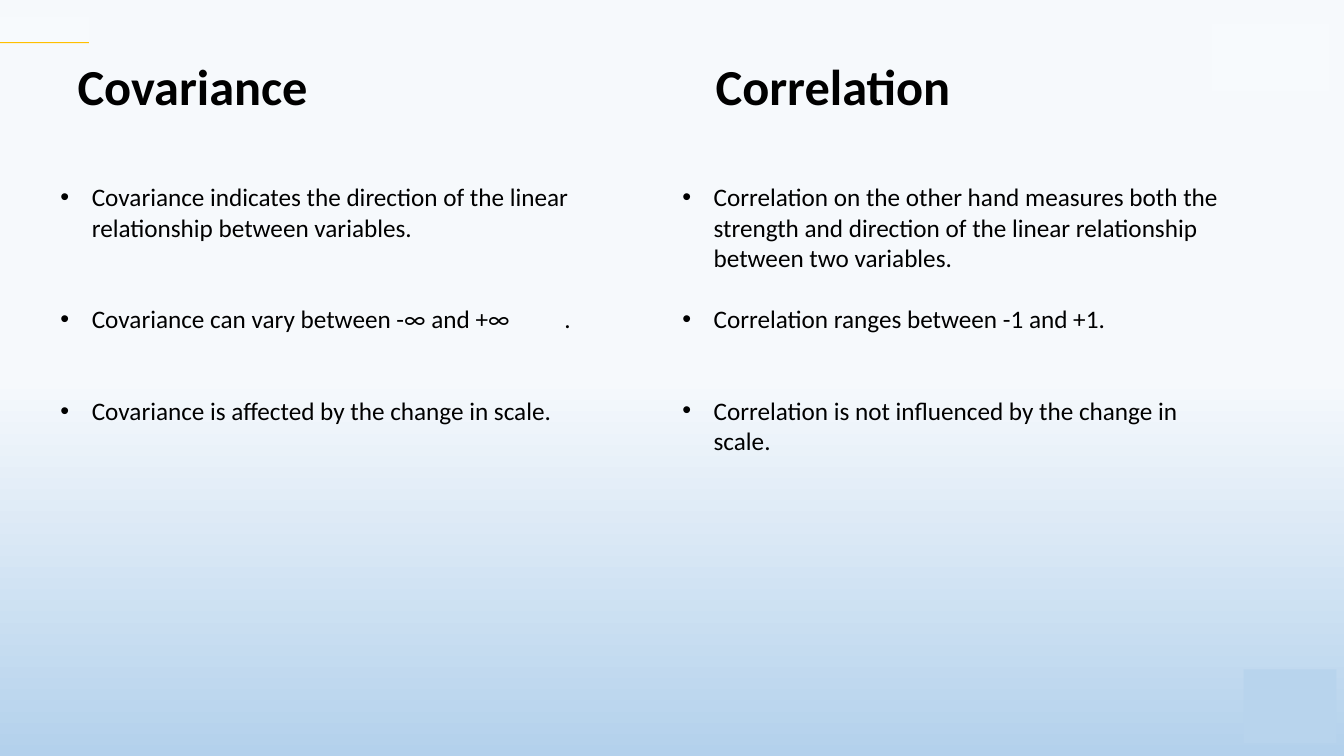
"""Builds a slide that compares covariance with correlation."""
import pptx
import pptx.util
import pptx.dml.color
import pptx.enum.shapes
import pptx.enum.text
import pptx.oxml.ns
import lxml.etree

Cm, Pt = pptx.util.Cm, pptx.util.Pt
RGB = pptx.dml.color.RGBColor.from_string
COLORS = {"text": "000000", "sky": "F6F9FC", "blue": "B3D1EC",
          "gold": "FFC000", "pale": "F7FAFD", "patch": "B8D4ED"}


def frame(holder, box):
    """Places a placeholder and returns its text frame."""
    holder.left, holder.top, holder.width, holder.height = map(Cm, box)
    text = holder.text_frame
    text.word_wrap = True
    text.vertical_anchor = pptx.enum.text.MSO_ANCHOR.TOP
    text.auto_size = pptx.enum.text.MSO_AUTO_SIZE.SHAPE_TO_FIT_TEXT
    return text


def write(para, words, size, bold):
    """Adds one left-aligned run to a paragraph."""
    para.alignment = pptx.enum.text.PP_ALIGN.LEFT
    para.line_spacing = 1.0
    run = para.add_run()
    run.text = words
    run.font.name = "Calibri"
    run.font.size = Pt(size)
    run.font.bold = bold
    run.font.color.rgb = RGB(COLORS["text"])


deck = pptx.Presentation()
deck.slide_width, deck.slide_height = Cm(33.87), Cm(19.05)
slide = deck.slides.add_slide(deck.slide_layouts[4])
holders = {item.placeholder_format.idx: item for item in slide.placeholders}
spare = holders[1].element
spare.getparent().remove(spare)

back = slide.background.fill
back.gradient()
back.gradient_angle = 270
for stop, place, color in zip(back.gradient_stops, (0.5, 1), ("sky", "blue")):
    stop.position = place
    stop.color.rgb = RGB(COLORS[color])

columns = [
    (0, 2, "Covariance", 1.7, 1.27, 6.4, [
        (0, "Covariance indicates the direction of the linear "
            "relationship between variables."),
        (44, "Covariance can vary between -∞ and +∞\t."),
        (44, "Covariance is affected by the change in scale.")]),
    (3, 4, "Correlation", 17.78, 16.94, 8.71, [
        (0, "Correlation on the other hand measures both the strength and "
            "direction of the linear relationship between two variables."),
        (22, "Correlation ranges between -1 and +1."),
        (44, "Correlation is not influenced by the change in scale.")]),
]
for head, body, title, left, edge, height, points in columns:
    para = frame(holders[head], (left, 1.27, 15.42, 1.8)).paragraphs[0]
    para.space_before = Pt(0)
    write(para, title, 36, True)
    text = frame(holders[body], (edge, 4.45, 14.44, height))
    for rank, (gap, words) in enumerate(points):
        para = text.add_paragraph() if rank else text.paragraphs[0]
        para.space_before = Pt(gap)
        write(para, words, 18, False)
        props = para._p.get_or_add_pPr()
        props.set("marL", str(Cm(0.79)))
        props.set("indent", str(Cm(-0.79)))
        props.set("defTabSz", str(Cm(2.54)))
        tint = lxml.etree.SubElement(props, pptx.oxml.ns.qn("a:buClr"))
        lxml.etree.SubElement(tint, pptx.oxml.ns.qn("a:srgbClr"), val=COLORS["text"])
        lxml.etree.SubElement(props, pptx.oxml.ns.qn("a:buFont"), typeface="Arial")
        lxml.etree.SubElement(props, pptx.oxml.ns.qn("a:buChar"), char="•")

blocks = [("gold", 0, 0.51, 2.24, 0.58), ("pale", 30.53, 0.61, 2.97, 1.7),
          ("patch", 31.34, 16.87, 2.34, 1.85), ("pale", 0, 0.43, 2.24, 0.63)]
for color, *box in blocks:
    block = slide.shapes.add_shape(
        pptx.enum.shapes.MSO_SHAPE.RECTANGLE, *map(Cm, box))
    block.shadow.inherit = False
    block.fill.solid()
    block.fill.fore_color.rgb = RGB(COLORS[color])
    block.line.fill.background()

deck.save("out.pptx")
